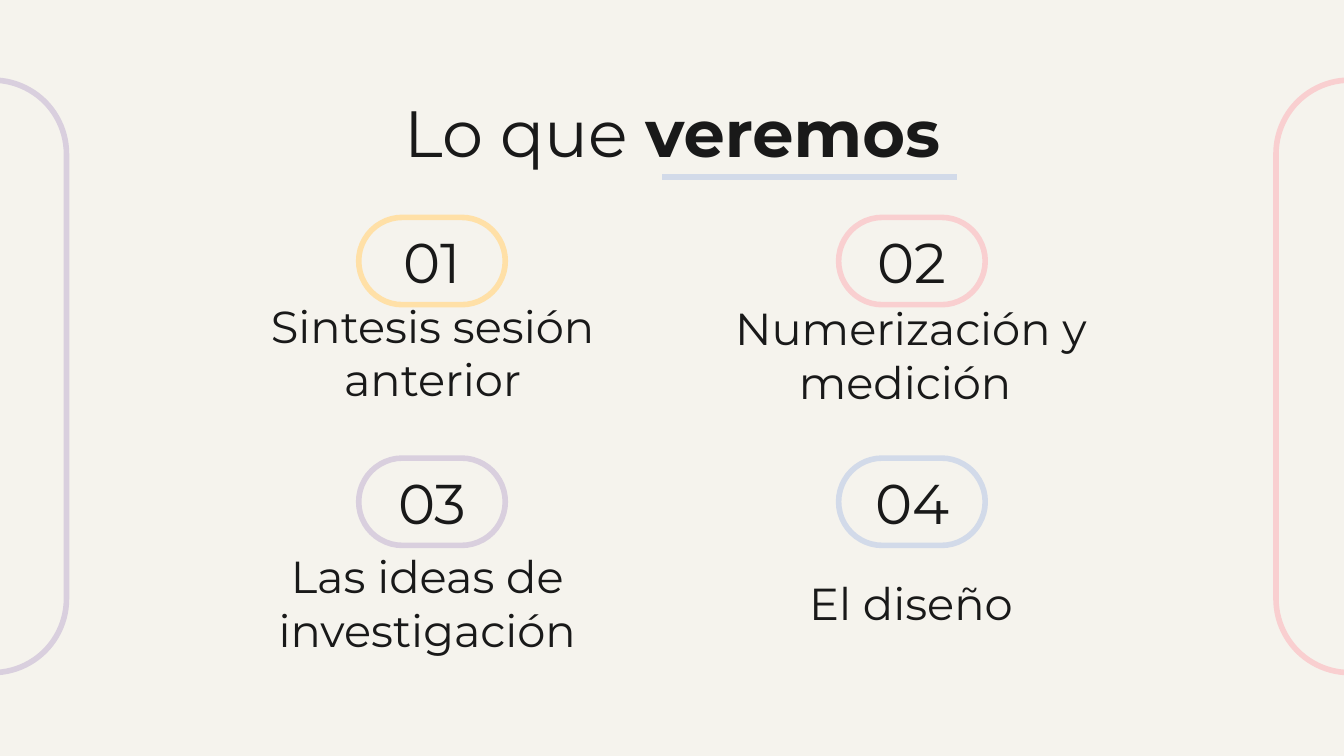
from pptx import Presentation
from pptx.dml.color import RGBColor
from pptx.enum.shapes import MSO_CONNECTOR as Connector, MSO_SHAPE as Shape
from pptx.enum.text import MSO_ANCHOR as Anchor, PP_ALIGN as Align
from pptx.oxml.ns import qn
from pptx.util import Cm, Pt
from lxml.etree import SubElement

CREAM = RGBColor(0xF5, 0xF3, 0xED)
INK = RGBColor(0x19, 0x19, 0x19)
YELLOW = RGBColor(0xFF, 0xE0, 0xA7)
PINK = RGBColor(0xF9, 0xCF, 0xD0)
LILAC = RGBColor(0xD9, 0xCF, 0xDE)
BLUE = RGBColor(0xD2, 0xDA, 0xE9)

COLUMNS = (6.78, 15.85)
ROWS = (4.11, 8.66)
TOPICS = [
    ("Sintesis sesión anterior", YELLOW, 4.24, 6.45),
    ("Numerización y medición ", PINK, 13.28, 6.5),
    ("Las ideas de investigación", LILAC, 4.14, 11.18),
    ("El diseño", BLUE, 13.28, 10.67),
]


def add_pill(s, x, y, w, h, color, rotation=0):
    """Add an unfilled pill outline."""
    sp = s.shapes.add_shape(Shape.ROUNDED_RECTANGLE, Cm(x), Cm(y), Cm(w), Cm(h))
    sp.adjustments[0] = 0.5
    sp.rotation = rotation
    sp.shadow.inherit = False
    sp.fill.background()
    sp.line.color.rgb = color
    sp.line.width = Pt(3)


def add_text(s, x, y, w, h, runs, size, anchor=Anchor.TOP):
    """Add a centred text box from (text, bold) runs."""
    tf = s.shapes.add_textbox(Cm(x), Cm(y), Cm(w), Cm(h)).text_frame
    frame = {"word_wrap": True, "vertical_anchor": anchor}
    frame.update({f"margin_{side}": Cm(0.25) for side in ("left", "top", "right", "bottom")})
    for name, value in frame.items():
        setattr(tf, name, value)
    p = tf.paragraphs[0]
    p.alignment = Align.CENTER
    for text, bold in runs:
        r = p.add_run()
        r.text = text
        for name, value in {"name": "Montserrat", "size": Pt(size), "bold": bold}.items():
            setattr(r.font, name, value)
        r.font.color.rgb = INK


def add_underline(s, x1, x2, y, color):
    """Add a horizontal rule."""
    line = s.shapes.add_connector(Connector.STRAIGHT, Cm(x1), Cm(y), Cm(x2), Cm(y))
    line.line.color.rgb = color
    line.line.width = Pt(3)
    SubElement(line._element.spPr, qn("a:effectLst"))


def add_topic(s, index, caption, color, x, y):
    """Add a numbered pill with its caption."""
    row, column = divmod(index, len(COLUMNS))
    left, top = COLUMNS[column], ROWS[row]
    add_pill(s, left, top, 2.77, 1.65, color)
    add_text(s, left + 0.41, top - 0.06, 1.96, 1.65, [(f"{index + 1:02}", False)], 30)
    add_text(s, x, y, 7.87, 1.47, [(caption, False)], 24, Anchor.BOTTOM)


def main():
    """Build the agenda slide."""
    prs = Presentation()
    prs.slide_width, prs.slide_height = Cm(25.4), Cm(14.29)
    s = prs.slides.add_slide(prs.slide_layouts[6])
    s.background.fill.solid()
    s.background.fill.fore_color.rgb = CREAM
    for x, color in ((-5.74, LILAC), (19.91, PINK)):
        add_pill(s, x, 5.72, 11.2, 2.79, color, rotation=90)
    add_text(s, 2, 1.5, 21.41, 1.6, [("Lo que ", False), ("veremos", True)], 35)
    add_underline(s, 12.52, 18.08, 3.35, BLUE)
    for index, topic in enumerate(TOPICS):
        add_topic(s, index, *topic)
    prs.save("out.pptx")


if __name__ == "__main__":
    main()
